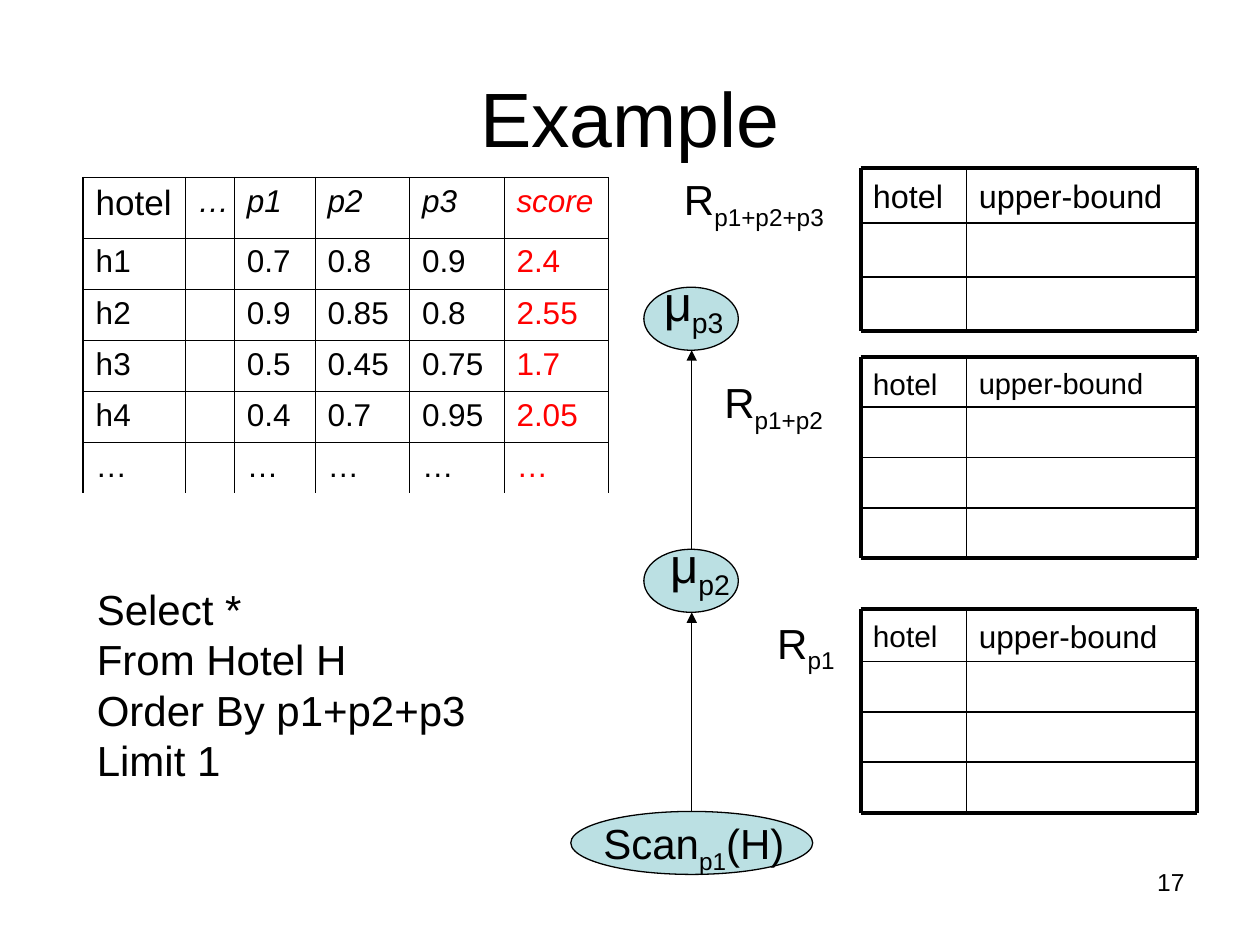
"""Build the ranked hotel query example slide."""
from lxml import etree
from pptx import Presentation
from pptx.dml.color import RGBColor
from pptx.enum.shapes import MSO_CONNECTOR, MSO_SHAPE
from pptx.enum.text import MSO_ANCHOR, MSO_AUTO_SIZE, PP_ALIGN
from pptx.oxml.ns import qn
from pptx.util import Inches, Pt

LEFT, CENTER, RIGHT = PP_ALIGN.LEFT, PP_ALIGN.CENTER, PP_ALIGN.RIGHT
TOP, MIDDLE = MSO_ANCHOR.TOP, MSO_ANCHOR.MIDDLE
FIXED, GROW = MSO_AUTO_SIZE.NONE, MSO_AUTO_SIZE.SHAPE_TO_FIT_TEXT
ELLIPSE, STRAIGHT = MSO_SHAPE.OVAL, MSO_CONNECTOR.STRAIGHT
COLORS = {"black": "000000", "white": "FFFFFF", "red": "FF0000", "teal": "BBE0E3"}


def write_text(paragraph, text, size, color="black", italic=False):
    """Write text in which every second part between underscores is a subscript."""
    formats = {"name": "Arial", "size": Pt(size), "italic": italic}
    for index, part in enumerate(text.split("_")):
        if not part:
            continue
        run = paragraph.add_run()
        run.text = part
        for name, value in formats.items():
            setattr(run.font, name, value)
        run.font.color.rgb = RGBColor.from_string(COLORS[color])
        if index % 2:
            run._r.get_or_add_rPr().set("baseline", "-25000")


def add_line(slide, start, end, points, arrow=False):
    """Add a black line between two points, with an arrowhead at its end if wanted."""
    line = slide.shapes.add_connector(
        STRAIGHT, *(Inches(value) for value in (*start, *end)))
    line.line.color.rgb = RGBColor.from_string(COLORS["black"])
    line.line.width = Pt(points)
    if arrow:
        etree.SubElement(line.line._get_or_add_ln(), qn("a:tailEnd"), type="triangle")
    etree.SubElement(line._element.spPr, qn("a:effectLst"))


presentation = Presentation()
presentation.slide_width, presentation.slide_height = Inches(10), Inches(7.5)
slide = presentation.slides.add_slide(presentation.slide_layouts[6])

hotels = [
    ["hotel", "…", "p1", "p2", "p3", "score"],
    ["h1", "", "0.7", "0.8", "0.9", "2.4"],
    ["h2", "", "0.9", "0.85", "0.8", "2.55"],
    ["h3", "", "0.5", "0.45", "0.75", "1.7"],
    ["h4", "", "0.4", "0.7", "0.95", "2.05"],
    ["…", "", "…", "…", "…", "…"],
]
widths = [0.81, 0.39, 0.64, 0.75, 0.75, 0.83]
heights = [0.48] + [0.4] * 5
table = slide.shapes.add_table(
    len(heights), len(widths), Inches(0.66), Inches(1.41),
    Inches(sum(widths)), Inches(sum(heights))).table
table.first_row = table.horz_banding = False
for column, width in zip(table.columns, widths):
    column.width = Inches(width)
last_row, last_column = len(heights) - 1, len(widths) - 1
outer, inner = ("black", 1.08), ("black", 0.45)
for r, values in enumerate(hotels):
    table.rows[r].height = Inches(heights[r])
    for c, text in enumerate(values):
        cell = table.cell(r, c)
        borders = {
            "a:lnL": outer if c == 0 else inner,
            "a:lnR": outer if c == last_column else inner,
            "a:lnT": outer if r == 0 else inner,
            "a:lnB": ("white", 0.45) if r == last_row else inner,
        }
        properties = cell._tc.get_or_add_tcPr()
        for tag, (color, points) in borders.items():
            border = etree.SubElement(properties, qn(tag), w=str(Pt(points)))
            fill = etree.SubElement(border, qn("a:solidFill"))
            etree.SubElement(fill, qn("a:srgbClr"), val=COLORS[color])
        cell.fill.background()
        write_text(cell.text_frame.paragraphs[0], text,
                   20 if r == c == 0 else 18,
                   "red" if c == last_column else "black",
                   r == 0 and c > 0)

query = ["Select *", "From Hotel H", "Order By p1+p2+p3", "Limit 1"]
text_boxes = [
    (0.5, 0.3, 9, 1.25, ["Example"], 44, CENTER, MIDDLE, True, FIXED),
    (0.67, 4.58, 3.13, 1.7, query, 24, LEFT, TOP, False, GROW),
    (4.69, 6.44, 1.83, 0.56, ["Scan_p1_(H)"], 24, LEFT, TOP, True, GROW),
    (5.22, 4.19, 0.7, 0.63, ["μ_p2"], 28, LEFT, TOP, False, GROW),
    (5.17, 2.11, 0.7, 0.63, ["μ_p3"], 28, LEFT, TOP, False, GROW),
    (6.07, 4.85, 0.75, 0.56, ["R_p1"], 24, LEFT, TOP, True, GROW),
    (5.65, 2.94, 1.11, 0.56, ["R_p1+p2"], 24, LEFT, TOP, True, GROW),
    (5.33, 1.33, 1.51, 0.56, ["R_p1+p2+p3"], 24, LEFT, TOP, True, GROW),
    (7.17, 6.83, 2.33, 0.52, ["17"], 14, RIGHT, TOP, True, FIXED),
]

left, middle, right = 6.83, 7.67, 9.5
result_grids = [
    ([4.83, 5.25, 5.65, 6.05, 6.45], 17, 18),
    ([1.33, 1.77, 2.2, 2.63], 18.5, 18.5),
    ([2.83, 3.23, 3.63, 4.03, 4.43], 17, 16.6),
]
for levels, hotel_size, bound_size in result_grids:
    top, bottom = levels[0], levels[-1]
    for y in levels:
        add_line(slide, (left, y), (right, y), 2.25 if y in (top, bottom) else 1)
    for x in (left, middle, right):
        add_line(slide, (x, top), (x, bottom), 1 if x == middle else 2.25)
    headers = [
        (left, middle - left, "hotel", hotel_size),
        (middle, right - middle, "upper-bound", bound_size),
    ]
    for x, width, text, size in headers:
        text_boxes.append((x, top + 0.02, width, levels[1] - top, [text], size,
                           LEFT, TOP, True, FIXED))

for x, y, width in [(5.11, 2.28, 0.75), (5.11, 4.36, 0.75), (4.53, 6.44, 1.92)]:
    operator = slide.shapes.add_shape(
        ELLIPSE, Inches(x), Inches(y), Inches(width), Inches(0.5))
    operator.shadow.inherit = False
    operator.fill.solid()
    operator.fill.fore_color.rgb = RGBColor.from_string(COLORS["teal"])
    operator.line.color.rgb = RGBColor.from_string(COLORS["black"])
    operator.line.width = Pt(0.75)

for start, end in [(6.44, 4.86), (4.36, 2.78)]:
    add_line(slide, (5.49, start), (5.49, end), 0.75, arrow=True)

for x, y, width, height, lines, size, alignment, anchor, wrap, auto_size in text_boxes:
    box = slide.shapes.add_textbox(Inches(x), Inches(y), Inches(width), Inches(height))
    frame = box.text_frame
    formats = {"word_wrap": wrap, "auto_size": auto_size, "vertical_anchor": anchor}
    for name, value in formats.items():
        setattr(frame, name, value)
    for index, line in enumerate(lines):
        paragraph = frame.add_paragraph() if index else frame.paragraphs[0]
        paragraph.alignment = alignment
        write_text(paragraph, line, size)

presentation.save("out.pptx")
